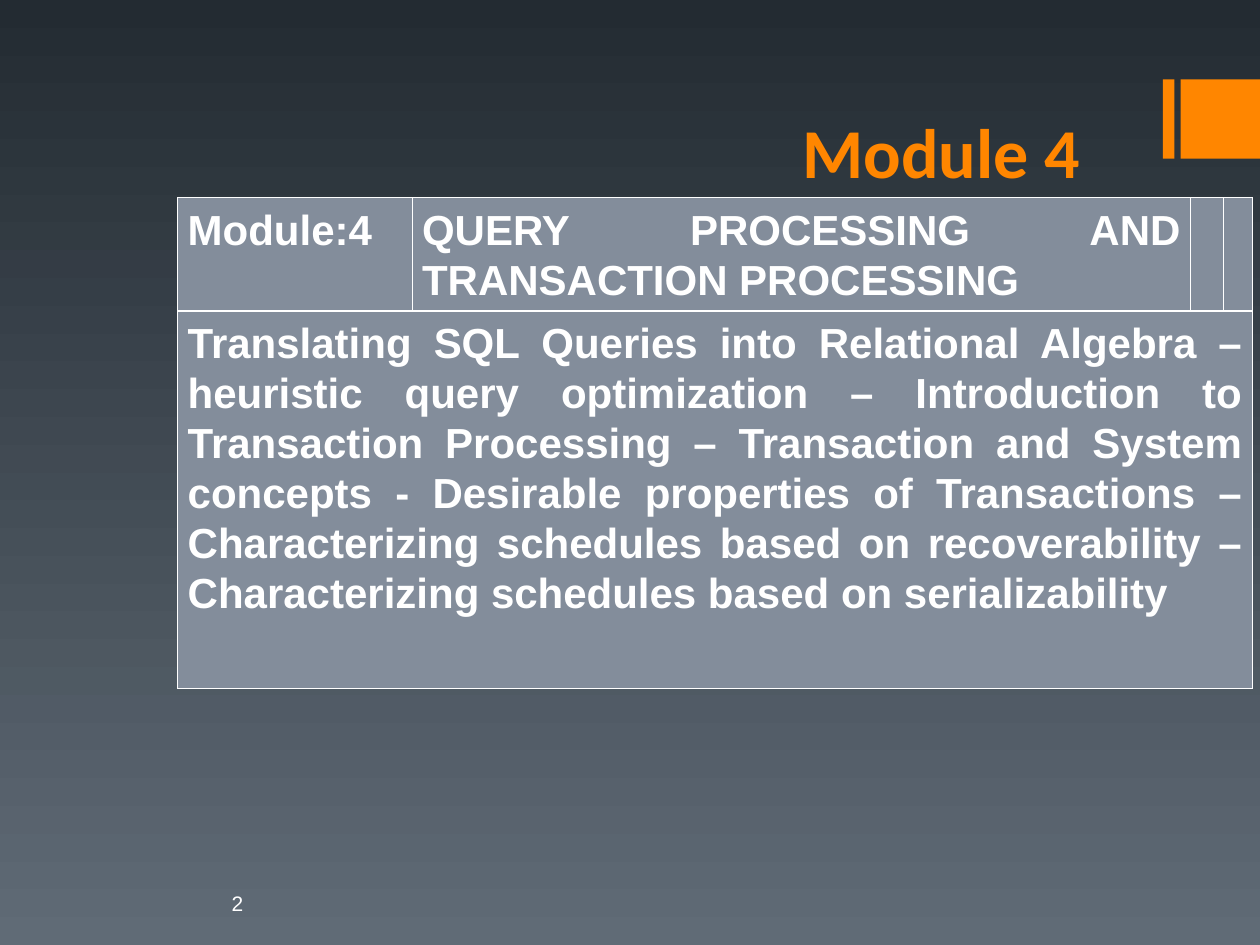
from dataclasses import dataclass

from lxml import etree
from pptx import Presentation
from pptx.dml.color import RGBColor
from pptx.enum.shapes import MSO_SHAPE
from pptx.enum.text import MSO_ANCHOR, PP_ALIGN
from pptx.oxml.ns import qn
from pptx.util import Inches, Pt

RECT = MSO_SHAPE.RECTANGLE
RIGHT, JUSTIFY = PP_ALIGN.RIGHT, PP_ALIGN.JUSTIFY
BOTTOM, MIDDLE = MSO_ANCHOR.BOTTOM, MSO_ANCHOR.MIDDLE

ORANGE, WHITE, CELL = "FF8600", "FFFFFF", "838D9B"
BACKGROUND = ("232B32", "606B76")
THIN, THICK = 0.45, 1.47
COLS = (1.86, 6.18, 0.26, 0.23)
ROWS = (0.86, 3)
SYLLABUS = (
    "Translating SQL Queries into Relational Algebra – heuristic query optimization – "
    "Introduction to Transaction Processing – Transaction and System concepts - "
    "Desirable properties of Transactions – Characterizing schedules based on "
    "recoverability – Characterizing schedules based on serializability"
)


@dataclass
class Label:
    text: str
    box: tuple
    anchor: MSO_ANCHOR
    font: str
    size: int
    color: str
    bold: bool = False


LABELS = (
    Label("Module 4", (3.25, 0.32, 5.42, 1.26), BOTTOM, "Calibri", 40, ORANGE, True),
    Label("2", (1, 7, 1.03, 0.33), MIDDLE, "Arial", 12, WHITE),
)
ACCENTS = ((9.23, 0.63, 0.09, 0.63), (9.37, 0.63, 0.63, 0.63))


def rgb(color: str) -> RGBColor:
    return RGBColor.from_string(color)


def set_font(p, name: str, size: int, color: str, bold: bool) -> None:
    p.font.name, p.font.size, p.font.bold = name, Pt(size), bold
    p.font.color.rgb = rgb(color)


def add_accent(s, box: tuple) -> None:
    sp = s.shapes.add_shape(RECT, *map(Inches, box))
    sp.shadow.inherit = False
    sp.fill.solid()
    sp.fill.fore_color.rgb = rgb(ORANGE)
    sp.line.fill.background()


def add_label(s, label: Label) -> None:
    tf = s.shapes.add_textbox(*map(Inches, label.box)).text_frame
    tf.word_wrap = True
    tf.vertical_anchor = label.anchor
    p = tf.paragraphs[0]
    p.text, p.alignment = label.text, RIGHT
    set_font(p, label.font, label.size, label.color, label.bold)


def set_borders(cell, top: float, bottom: float) -> None:
    """Draw white borders; they must come before the fill in the cell's XML."""
    tc_pr = cell._tc.get_or_add_tcPr()
    for side, width in (("L", THIN), ("R", THIN), ("T", top), ("B", bottom)):
        ln = etree.SubElement(tc_pr, qn(f"a:ln{side}"), w=str(Pt(width)))
        fill = etree.SubElement(ln, qn("a:solidFill"))
        etree.SubElement(fill, qn("a:srgbClr"), val=WHITE)


def style_cell(cell, top: float, bottom: float) -> None:
    set_borders(cell, top, bottom)
    cell.fill.solid()
    cell.fill.fore_color.rgb = rgb(CELL)
    cell.margin_left = cell.margin_right = Inches(0.08)
    cell.margin_top = cell.margin_bottom = Inches(0.05)
    p = cell.text_frame.paragraphs[0]
    p.alignment, p.line_spacing = JUSTIFY, 1.07
    set_font(p, "Arial", 24, WHITE, True)


def add_module_table(s) -> None:
    frame = s.shapes.add_table(len(ROWS), len(COLS), Inches(1.41), Inches(1.57),
                               Inches(sum(COLS)), Inches(sum(ROWS)))
    table = frame.table
    for column, width in zip(table.columns, COLS):
        column.width = Inches(width)
    for row, height in zip(table.rows, ROWS):
        row.height = Inches(height)
    table.cell(1, 0).merge(table.cell(1, len(COLS) - 1))
    table.cell(0, 0).text = "Module:4"
    table.cell(0, 1).text = "QUERY PROCESSING AND TRANSACTION PROCESSING"
    table.cell(1, 0).text = SYLLABUS
    for row, edges in zip(table.rows, ((THIN, THICK), (THICK, THIN))):
        for cell in row.cells:
            style_cell(cell, *edges)


def main() -> None:
    prs = Presentation()
    prs.slide_width, prs.slide_height = Inches(10), Inches(7.5)
    s = prs.slides.add_slide(prs.slide_layouts[6])
    fill = s.background.fill
    fill.gradient()
    fill.gradient_angle = 270
    for stop, color in zip(fill.gradient_stops, BACKGROUND):
        stop.color.rgb = rgb(color)
    for box in ACCENTS:
        add_accent(s, box)
    add_module_table(s)
    for label in LABELS:
        add_label(s, label)
    prs.save("out.pptx")


if __name__ == "__main__":
    main()
